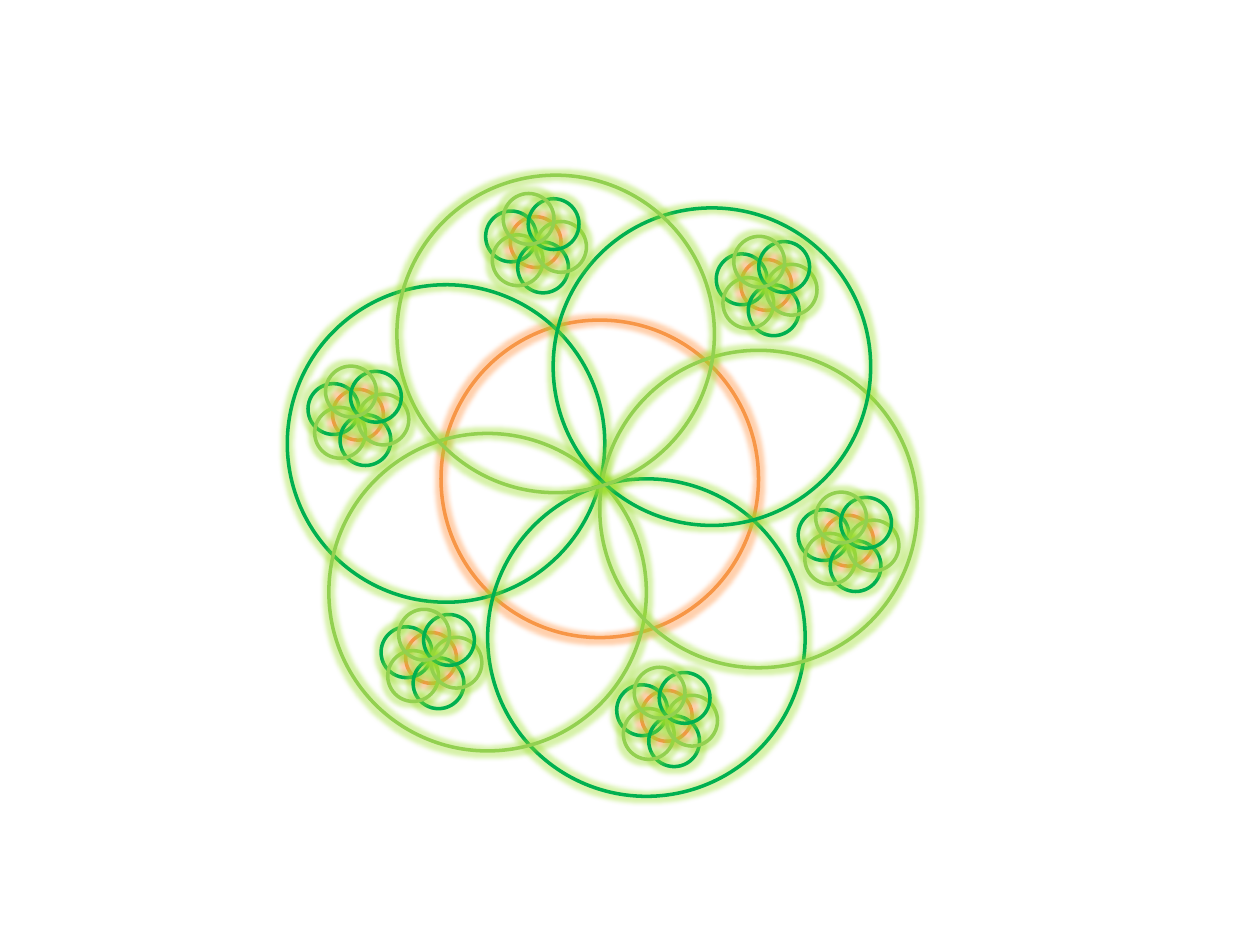
from lxml import etree
from pptx import Presentation
from pptx.dml.color import RGBColor
from pptx.enum.shapes import MSO_SHAPE
from pptx.oxml.ns import qn
from pptx.util import Pt

ELLIPSE = MSO_SHAPE.OVAL
ORANGE, GREEN, LIME = "F79646", "00B050", "92D050"
GLOWS = {ORANGE: "FF8A32", GREEN: "9BDE2A", LIME: "9BDE2A"}
RING_SIZE = 181.44
BUD_SCALE = 0.16
FLOWER = (252, 182.88)
RINGS = [
    (0, 0, ORANGE, 0),
    (-87.84, -20.16, GREEN, 8.3),
    (26.64, 90.72, GREEN, 0),
    (-64.08, 64.8, LIME, 0),
    (90.72, 17.28, LIME, 0),
    (64.08, -64.08, GREEN, 0),
    (-25.2, -82.8, LIME, 0),
]
BUDS = [
    (231.84, 361.44), (470.16, 294.48), (366.48, 394.56),
    (423.36, 148.32), (291.6, 123.84), (190.08, 222.48),
]


def rgb(value):
    return RGBColor.from_string(value)


class Drawing:
    """Holds the ring style and the slide being drawn."""

    line_format = {"width": Pt(2)}
    glow_radius = Pt(5)
    glow_alpha = 40000

    def __init__(self, slide):
        self.slide = slide

    def ring(self, shapes, left, top, size, color, rotation):
        ring = shapes.add_shape(ELLIPSE, Pt(left), Pt(top), Pt(size), Pt(size))
        ring.rotation = rotation
        ring.fill.background()
        ring.line.color.rgb = rgb(color)
        for name, value in self.line_format.items():
            setattr(ring.line, name, value)
        ring.shadow.inherit = False
        self.glow(ring, GLOWS[color])

    def glow(self, ring, color):
        effects = ring.element.spPr.find(qn("a:effectLst"))
        glow = etree.SubElement(effects, qn("a:glow"), rad=str(self.glow_radius))
        tint = etree.SubElement(glow, qn("a:srgbClr"), val=color)
        etree.SubElement(tint, qn("a:alpha"), val=str(self.glow_alpha))

    def flower(self, shapes, left, top, scale=1):
        for dx, dy, color, rotation in RINGS:
            self.ring(shapes, left + dx * scale, top + dy * scale,
                      RING_SIZE * scale, color, rotation)

    def bud(self, left, top):
        group = self.slide.shapes.add_group_shape()
        self.flower(group.shapes, left, top, BUD_SCALE)


def main():
    deck = Presentation()
    deck.slide_width, deck.slide_height = Pt(720), Pt(540)
    drawing = Drawing(deck.slides.add_slide(deck.slide_layouts[6]))
    drawing.flower(drawing.slide.shapes, *FLOWER)
    for position in BUDS:
        drawing.bud(*position)
    deck.save("out.pptx")


if __name__ == "__main__":
    main()
